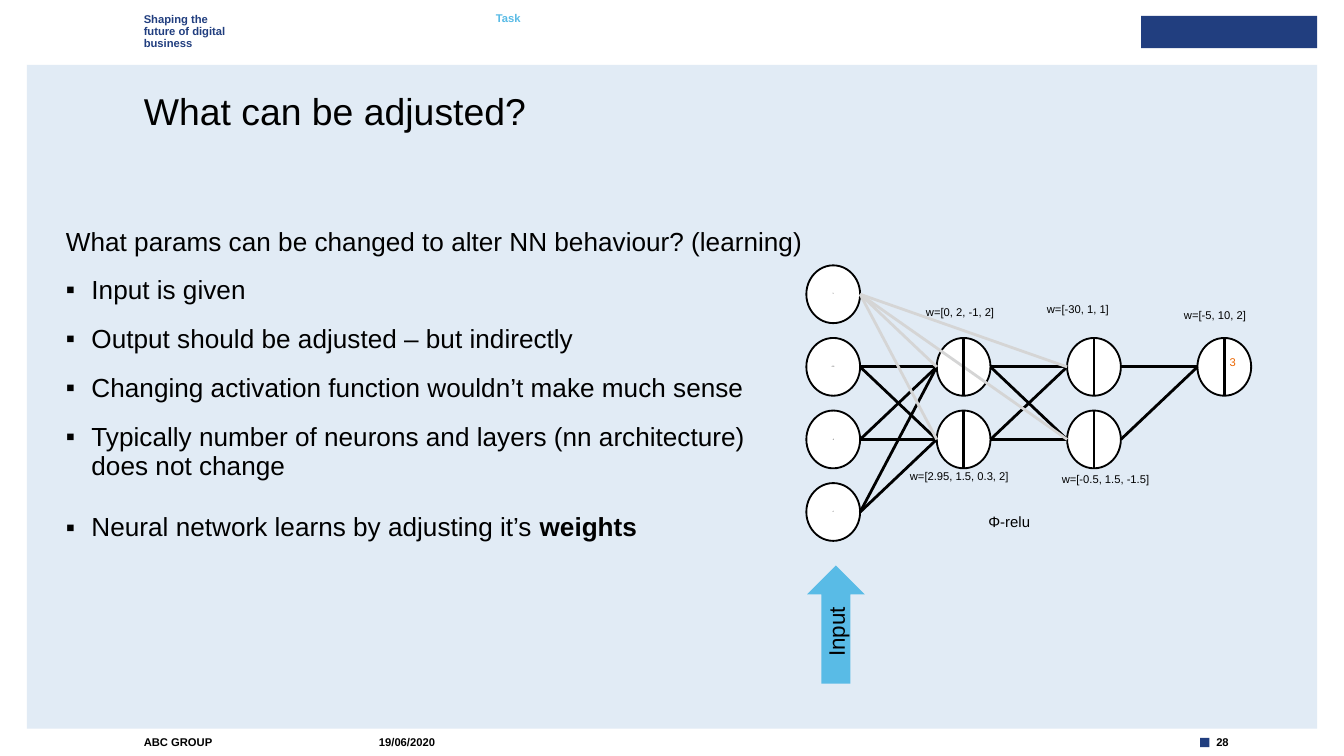
from dataclasses import dataclass
from typing import NamedTuple

from lxml import etree
from pptx import Presentation
from pptx import util as u
from pptx.dml.color import RGBColor
from pptx.enum import shapes, text
from pptx.oxml.ns import qn


@dataclass(frozen=True)
class Theme:
    font: str = "Arial"
    ink: str = "000000"
    paper: str = "FFFFFF"
    panel: str = "E1EBF5"
    navy: str = "213E7F"
    sky: str = "59BBE6"
    orange: str = "EC6601"
    bias: str = "D5D5D5"
    title: float = 20
    body: float = 14
    arrow: float = 12
    note: float = 8
    small: float = 6
    tiny: float = 1


class Box(NamedTuple):
    """Left, top, width and height in percent of the slide."""
    x: float
    y: float
    w: float
    h: float


class Label(NamedTuple):
    words: str
    box: Box
    color: str = "000000"
    bold: bool = False
    spacing: float = 1.0
    anchor: text.MSO_ANCHOR = text.MSO_ANCHOR.TOP


class Neuron(NamedTuple):
    """Column and row in the network grid."""
    col: int
    row: int


T = Theme()
W, H = u.Inches(10), u.Inches(5.625)
MIDDLE = text.MSO_ANCHOR.MIDDLE

# Network grid: first centre, pitch and neuron size in inches
X0, Y0, COL, ROW = 6.2, 2.19, 0.97, 0.54
NODE_W, NODE_H = 0.4, 0.43

prs = Presentation()
prs.slide_width, prs.slide_height = W, H
s = prs.slides.add_slide(prs.slide_layouts[3])


def rgb(color: str) -> RGBColor:
    return RGBColor.from_string(color)


def emu(box: Box) -> tuple[int, int, int, int]:
    return (int(W * box.x / 100), int(H * box.y / 100),
            int(W * box.w / 100), int(H * box.h / 100))


def frame(tf, inset: float = 0, anchor=text.MSO_ANCHOR.TOP) -> None:
    tf.word_wrap, tf.auto_size, tf.vertical_anchor = True, text.MSO_AUTO_SIZE.NONE, anchor
    tf.margin_left = tf.margin_right = tf.margin_top = tf.margin_bottom = u.Inches(inset)


def write(p, words: str, *, size: float, color: str = T.ink, bold: bool = False,
          bold_tail: str = "", align=text.PP_ALIGN.LEFT, spacing: float = 1.0,
          before: float = 0, bullet: str = "") -> None:
    """Fill a paragraph with formatted text; bold_tail is a closing bold run."""
    p.alignment, p.line_spacing, p.space_before = align, spacing, u.Pt(before)
    pPr = p._p.get_or_add_pPr()
    indent = u.Inches(0.19) if bullet else 0
    pPr.set("marL", str(indent))
    pPr.set("indent", str(-indent))
    if bullet:
        clr = etree.SubElement(pPr, qn("a:buClr"))
        etree.SubElement(clr, qn("a:srgbClr"), val=T.ink)
        etree.SubElement(pPr, qn("a:buChar"), char=bullet)
    else:
        etree.SubElement(pPr, qn("a:buNone"))
    for i, line in enumerate(words.split("\n")):
        if i:
            p.add_line_break()
        p.add_run().text = line
    if bold_tail:
        p.add_run().text = bold_tail
    for r in p.runs:
        r.font.name, r.font.size = T.font, u.Pt(size)
        r.font.color.rgb = rgb(color)
        r.font.bold = bold
    if bold_tail:
        p.runs[-1].font.bold = True


def place(sp, box: Box):
    sp.left, sp.top, sp.width, sp.height = emu(box)
    frame(sp.text_frame)
    return sp.text_frame


def add_label(label: Label, size: float = T.small, align=text.PP_ALIGN.LEFT) -> None:
    tf = s.shapes.add_textbox(*emu(label.box)).text_frame
    frame(tf, anchor=label.anchor)
    write(tf.paragraphs[0], label.words, size=size, color=label.color,
          bold=label.bold, spacing=label.spacing, align=align)


def add_filled(kind: shapes.MSO_SHAPE, pos: tuple, fill: str, outline: str = ""):
    sp = s.shapes.add_shape(kind, *pos)
    sp.shadow.inherit = False
    sp.fill.solid()
    sp.fill.fore_color.rgb = rgb(fill)
    if outline:
        sp.line.color.rgb, sp.line.width = rgb(outline), u.Pt(1)
    else:
        sp.line.fill.background()
    frame(sp.text_frame, 0.12, MIDDLE)
    return sp


def add_line(x1: float, y1: float, x2: float, y2: float, color: str = T.ink) -> None:
    c = s.shapes.add_connector(shapes.MSO_CONNECTOR.STRAIGHT,
                               *map(u.Inches, (x1, y1, x2, y2)))
    c.line.color.rgb, c.line.width = rgb(color), u.Pt(1.5)
    etree.SubElement(c._element.spPr, qn("a:effectLst"))


def centre(n: Neuron) -> tuple[float, float]:
    return X0 + n.col * COL, Y0 + n.row * ROW


def add_neuron(n: Neuron, value: str = "") -> None:
    x, y = centre(n)
    sp = add_filled(shapes.MSO_SHAPE.OVAL, tuple(map(u.Inches, (
        x - NODE_W / 2, y - NODE_H / 2, NODE_W, NODE_H))), T.paper, T.ink)
    if value:
        write(sp.text_frame.paragraphs[0], value, size=T.tiny, align=text.PP_ALIGN.CENTER)


def link(a: Neuron, b: Neuron, color: str = T.ink) -> None:
    (x1, y1), (x2, y2) = centre(a), centre(b)
    add_line(x1 + NODE_W / 2, y1, x2 - NODE_W / 2, y2, color)


# Panel behind the placeholders, plain header block and page marker
panel = add_filled(shapes.MSO_SHAPE.RECTANGLE, emu(Box(2, 8.6, 96, 87.8)), T.panel)
panel._element.getparent().insert(2, panel._element)
for box in (Box(84.9, 2.1, 13.1, 4.27), Box(89.3, 97.6, 0.7, 1.24)):
    add_filled(shapes.MSO_SHAPE.RECTANGLE, emu(box), T.navy)

# Header and footer
for label in [
    Label("Shaping the\nfuture of digital\nbusiness", Box(10.7, 1.78, 8.7, 4.8), T.navy, True, 0.9),
    Label("Task", Box(36.9, 1.7, 7.9, 4.8), T.sky, True, 0.9),
    Label("ABC GROUP", Box(10.7, 97.24, 17.2, 1.78), bold=True, anchor=MIDDLE),
    Label("19/06/2020", Box(28.2, 97.24, 6, 1.78), bold=True, anchor=MIDDLE),
    Label("28", Box(90.5, 97.24, 3, 1.78), bold=True, anchor=MIDDLE),
]:
    add_label(label)

# Title, question and list
title, question, points = s.placeholders
tf = place(title, Box(10.7, 12.27, 78.6, 5.33))
write(tf.paragraphs[0], "What can be adjusted?", size=T.title, spacing=0.9)
tf = place(question, Box(4.9, 30.22, 58, 5.16))
write(tf.paragraphs[0], "What params can be changed to alter NN behaviour? (learning)",
      size=T.body, spacing=0.9)
tf = place(points, Box(4.9, 36.62, 51.5, 40.9))
for i, (words, tail, before) in enumerate([
    ("Input is given", "", 0),
    ("Output should be adjusted – but indirectly", "", 11.2),
    ("Changing activation function wouldn’t make much sense", "", 11.2),
    ("Typically number of neurons and layers (nn architecture) does not change", "", 11.2),
    ("Neural network learns by adjusting it’s ", "weights", 18),
]):
    p = tf.add_paragraph() if i else tf.paragraphs[0]
    write(p, words, bold_tail=tail, size=T.body, spacing=0.9, before=before, bullet="▪")

# Network neurons
bias, *inputs = [Neuron(0, row) for row in range(4)]
hidden = [[Neuron(col, row) for row in (1, 2)] for col in (1, 2)]
output = Neuron(3, 1)
for n, value in zip([bias, *inputs], ["1", "0.5", "-3", "4"]):
    add_neuron(n, value)
active = [*hidden[0], *hidden[1], output]
for n in active:
    add_neuron(n)

# Weighted links, with the bias links in grey
for sources, layer in zip([inputs, hidden[0]], hidden):
    for target in layer:
        for source in sources:
            link(source, target)
        link(bias, target, T.bias)
for source in hidden[1]:
    link(source, output)
for n in active:
    x, y = centre(n)
    add_line(x, y - NODE_H / 2, x, y + NODE_H / 2)

# Weights, output value and activation function
for label in [
    Label("w=[0, 2, -1, 2]", Box(68.9, 40.36, 7.6, 2.13)),
    Label("w=[2.95, 1.5, 0.3, 2]", Box(67.7, 62.04, 10.1, 2.13)),
    Label("w=[-30, 1, 1]", Box(77.9, 40, 7.6, 2.13)),
    Label("w=[-0.5, 1.5, -1.5]", Box(79, 62.5, 8.9, 2.13)),
    Label("w=[-5, 10, 2]", Box(88.1, 40.8, 7.6, 2.13)),
    Label("3", Box(91.5, 47, 1.4, 2.13), T.orange),
]:
    add_label(label)
add_label(Label("Φ-relu", Box(72.1, 66.9, 6, 4.1), anchor=MIDDLE), T.note, text.PP_ALIGN.CENTER)

# Input arrow
arrow = add_filled(shapes.MSO_SHAPE.RIGHT_ARROW, emu(Box(57.8, 78.8, 8.8, 7.64)), T.sky)
arrow.rotation = 270
write(arrow.text_frame.paragraphs[0], "Input", size=T.arrow, align=text.PP_ALIGN.CENTER)

prs.save("out.pptx")
